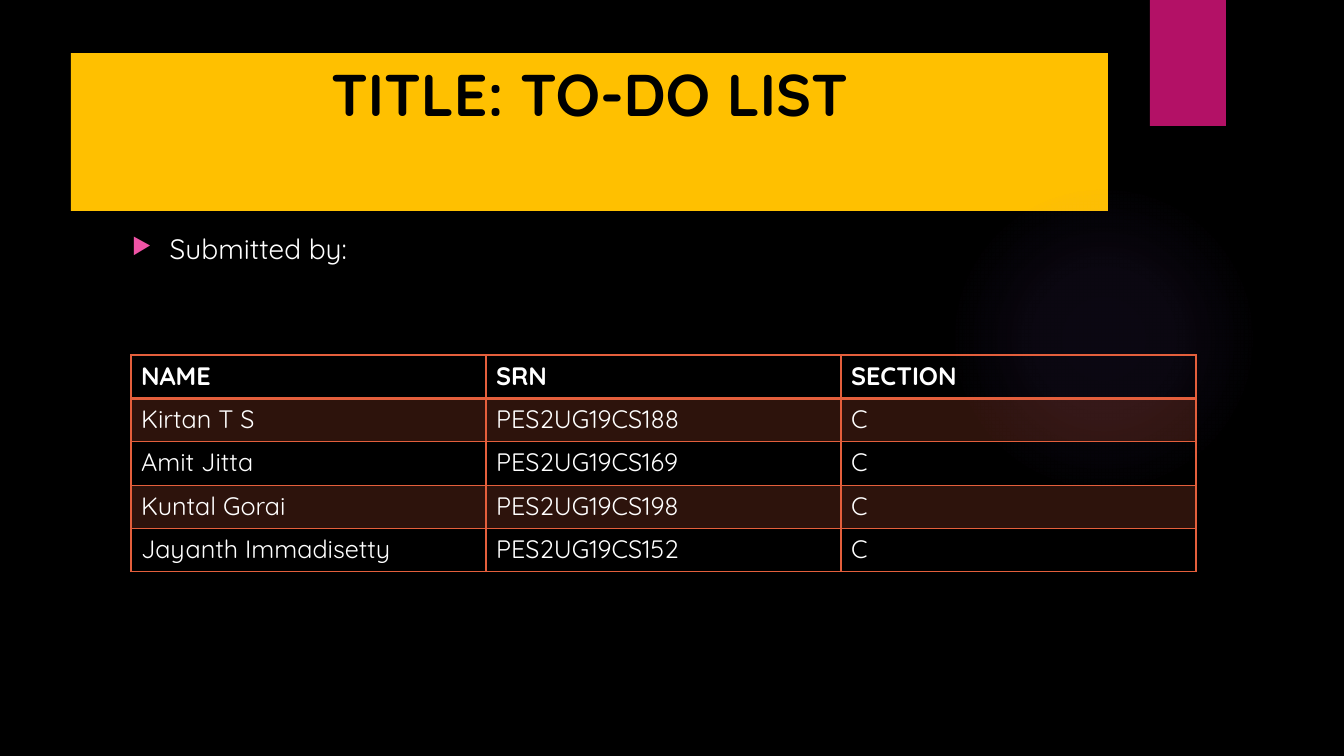
from lxml.etree import SubElement
from pptx import Presentation
from pptx.dml.color import RGBColor as Rgb
from pptx.enum.shapes import MSO_SHAPE as Kind
from pptx.enum.text import MSO_ANCHOR as Anchor, MSO_AUTO_SIZE as Auto, PP_ALIGN as Align
from pptx.oxml import parse_xml
from pptx.oxml.ns import nsdecls, qn
from pptx.util import Pt

TITLE = "TITLE: TO-DO LIST"
LEAD = "Submitted by:"
ROWS = [
    ("NAME", "SRN", "SECTION"),
    ("Kirtan T S", "PES2UG19CS188", "C"),
    ("Amit Jitta", "PES2UG19CS169", "C"),
    ("Kuntal Gorai", "PES2UG19CS198", "C"),
    ("Jayanth Immadisetty", "PES2UG19CS152", "C"),
]
HUES = {"black": "000000", "white": "FFFFFF", "gold": "FFC000", "tab": "B31166",
        "glow": "9B6BF2", "mark": "EF53A5", "rust": "E45F3C"}
FONT = "Quicksand"
PAGE = (1344, 756)
BOXES = {"glow": (949, 184, 310, 310), "tab": (1150, 0, 76, 126),
         "title": (71, 53, 1037, 158), "lead": (122, 227, 986, 463)}
GRID = {"left": 131, "top": 355, "col": 355, "row": 43.4}
STOPS = [(0, 7), (36, 6), (69, 0)]
EMU = 914400 / 100.8


def px(*nums):
    return [round(n * EMU) for n in nums]


def hue(name):
    return Rgb.from_string(HUES[name])


def style(obj, **vals):
    for key, val in vals.items():
        setattr(obj, key, val)


def write(frame, text, size, name, bold=False):
    para = frame.paragraphs[0]
    run = para.add_run()
    run.text = text
    style(run.font, name=FONT, size=Pt(size), bold=bold)
    run.font.color.rgb = hue(name)
    return para


def paint(fill, name):
    fill.solid()
    fill.fore_color.rgb = hue(name)


def draw(slide, kind, name):
    shape = slide.shapes.add_shape(kind, *px(*BOXES[name]))
    shape.shadow.inherit = False
    shape.line.fill.background()
    paint(shape.fill, name)
    return shape


def add_glow(slide):
    shape = draw(slide, Kind.OVAL, "glow")
    stops = "".join(
        f'<a:gs pos="{pos * 1000}"><a:srgbClr val="{HUES["glow"]}">'
        f'<a:alpha val="{alpha * 1000}"/></a:srgbClr></a:gs>' for pos, alpha in STOPS)
    props = shape._element.spPr
    props.replace(props.find(qn("a:solidFill")), parse_xml(
        f'<a:gradFill {nsdecls("a")}><a:gsLst>{stops}</a:gsLst><a:path path="circle">'
        '<a:fillToRect l="50000" t="50000" r="50000" b="50000"/></a:path></a:gradFill>'))


def add_tab(slide):
    props = draw(slide, Kind.RECTANGLE, "tab")._element.spPr
    cast = SubElement(props.find(qn("a:effectLst")), qn("a:outerShdw"), blurRad=str(Pt(3)),
                      dist=str(Pt(2)), dir="5400000", rotWithShape="0")
    tint = SubElement(cast, qn("a:srgbClr"), val=HUES["black"])
    SubElement(tint, qn("a:alpha"), val="45000")


def add_title(slide):
    title = slide.shapes.title
    style(title, **dict(zip(("left", "top", "width", "height"), px(*BOXES["title"]))))
    paint(title.fill, "gold")
    style(title.text_frame, word_wrap=True, auto_size=Auto.NONE, vertical_anchor=Anchor.TOP)
    write(title.text_frame, TITLE, 42, "black", True).alignment = Align.CENTER


def add_lead(slide):
    frame = slide.shapes.add_textbox(*px(*BOXES["lead"])).text_frame
    frame.word_wrap = True
    para = write(frame, LEAD, 20, "white")
    para.space_before = Pt(10)
    props = para._p.get_or_add_pPr()
    props.set("marL", "342900")
    props.set("indent", "-342900")
    SubElement(SubElement(props, qn("a:buClr")), qn("a:srgbClr"), val=HUES["mark"])
    SubElement(props, qn("a:buSzPct"), val="80000")
    SubElement(props, qn("a:buChar"), char="▶")


def edge(cell, widths):
    props = cell._tc.get_or_add_tcPr()
    for side, width in zip("LRTB", widths):
        line = SubElement(props, qn(f"a:ln{side}"), w=str(Pt(width)))
        SubElement(SubElement(line, qn("a:solidFill")), qn("a:srgbClr"), val=HUES["rust"])


def add_grid(slide):
    rows, cols = len(ROWS), len(ROWS[0])
    spot = px(GRID["left"], GRID["top"], cols * GRID["col"], rows * GRID["row"])
    table = slide.shapes.add_table(rows, cols, *spot).table
    style(table, first_row=False, horz_banding=False)
    for col in table.columns:
        col.width = px(GRID["col"])[0]
    for r, names in enumerate(ROWS):
        table.rows[r].height = px(GRID["row"])[0]
        for c, text in enumerate(names):
            cell = table.cell(r, c)
            write(cell.text_frame, text, 18, "white", r == 0)
            edge(cell, (1, 1, 2 if r == 1 else 1, 2 if r == 0 else 1))
            if r % 2:
                paint(cell.fill, "rust")
                tint = cell._tc.tcPr.find(qn("a:solidFill"))[0]
                SubElement(tint, qn("a:alpha"), val="20000")
            else:
                cell.fill.background()


def main():
    deck = Presentation()
    deck.slide_width, deck.slide_height = px(*PAGE)
    slide = deck.slides.add_slide(deck.slide_layouts[5])
    paint(slide.background.fill, "black")
    for add in (add_glow, add_tab, add_title, add_lead, add_grid):
        add(slide)
    deck.save("out.pptx")


if __name__ == "__main__":
    main()
